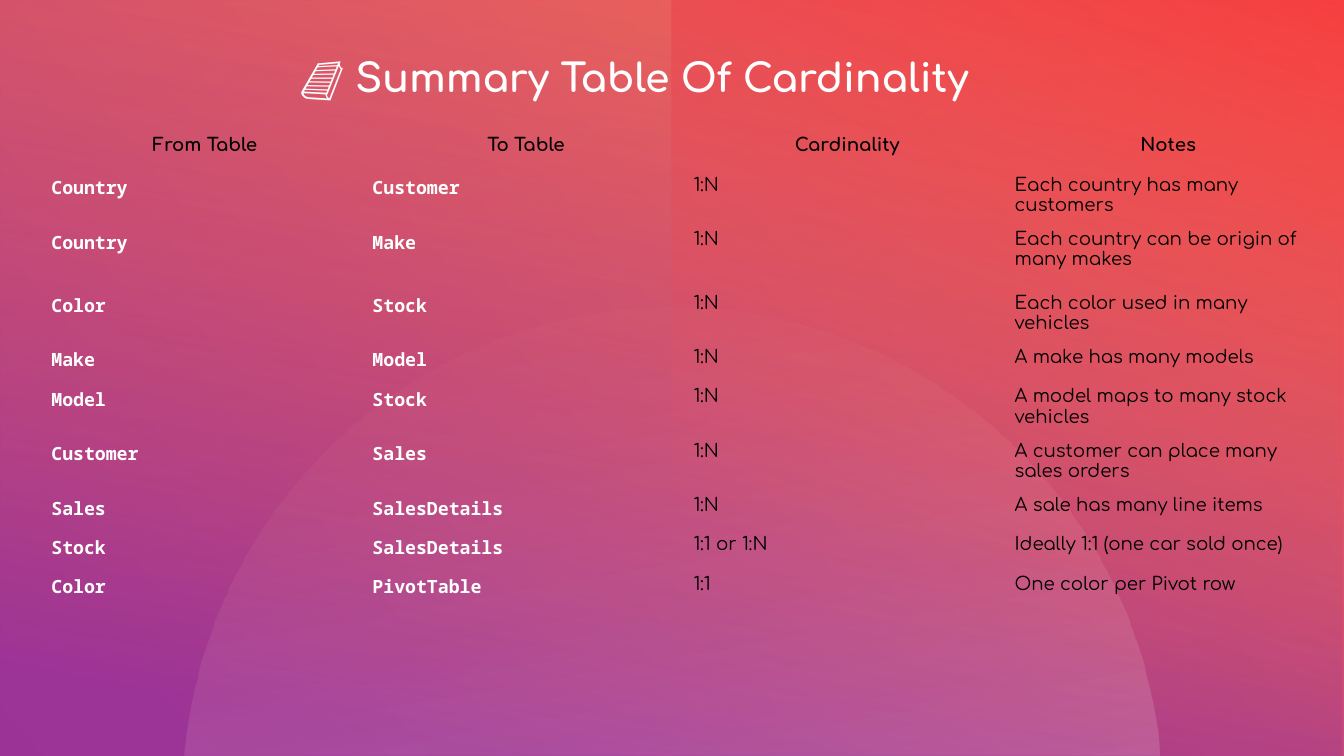
import math

import lxml.etree
import pptx
import pptx.dml.color
import pptx.enum.shapes
import pptx.enum.text
import pptx.oxml.ns
import pptx.util

THEME = {
    "heading": "FFFFFF",
    "key": "FFFFFF",
    "body": "000000",
    "font": "Comfortaa",
    "mono": "Noto Sans Mono",
    "title_size": 28,
    "table_size": 13,
    "base": (140, [(0, "FF6757", 100), (100, "A3299D", 100)]),
    "veil": (100, [(0, "FF763F", 45), (91, "9B3597", 88)]),
    "glow": (290, [(25, "FF6753", 0), (100, "EA0032", 42)]),
    "dome": (80, [(7, "FF907A", 3), (100, "FFFFFF", 15)]),
}
ROWS = [
    ("From Table", "To Table", "Cardinality", "Notes"),
    ("Country", "Customer", "1:N", "Each country has many customers"),
    ("Country", "Make", "1:N", "Each country can be origin of many makes"),
    ("Color", "Stock", "1:N", "Each color used in many vehicles"),
    ("Make", "Model", "1:N", "A make has many models"),
    ("Model", "Stock", "1:N", "A model maps to many stock vehicles"),
    ("Customer", "Sales", "1:N", "A customer can place many sales orders"),
    ("Sales", "SalesDetails", "1:N", "A sale has many line items"),
    ("Stock", "SalesDetails", "1:1 or 1:N", "Ideally 1:1 (one car sold once)"),
    ("Color", "PivotTable", "1:1", "One color per Pivot row"),
]
ROW_HEIGHT = 0.39
TALL_ROWS = {2: 0.63, 9: 0.55}
NO_STYLE = "{2D5ABB26-0587-4C30-8999-92F81FD0307C}"
Inches = pptx.util.Inches


def paint(shape, gradient):
    angle, stops = gradient
    shape.shadow.inherit = False
    shape.line.fill.background()
    shape.fill.gradient()
    shape.fill.gradient_angle = 360 - angle
    for stop, (position, color, opacity) in zip(shape.fill.gradient_stops, stops):
        stop.position = position / 100
        stop.color.rgb = pptx.dml.color.RGBColor.from_string(color)
    for node, (position, color, opacity) in zip(
        shape.element.spPr.iter(pptx.oxml.ns.qn("a:srgbClr")), stops
    ):
        alpha = lxml.etree.SubElement(node, pptx.oxml.ns.qn("a:alpha"))
        alpha.set("val", str(opacity * 1000))


def style(p, font, size, color, bold):
    for r in p.runs:
        r.font.name = font
        r.font.size = pptx.util.Pt(size)
        r.font.bold = bold
        r.font.color.rgb = pptx.dml.color.RGBColor.from_string(color)


prs = pptx.Presentation()
W, H = Inches(13.33), Inches(7.5)
prs.slide_width, prs.slide_height = W, H
s = prs.slides.add_slide(prs.slide_layouts[5])

for name, left in (("base", 0), ("veil", 0), ("glow", W // 2)):
    panel = s.shapes.add_shape(
        pptx.enum.shapes.MSO_SHAPE.RECTANGLE, left, 0, W - left, H
    )
    paint(panel, THEME[name])

radius, center_y = 4.85, 7.9
edge = math.degrees(math.asin((center_y - 7.5) / radius))
arc = []
for step in range(121):
    turn = math.radians(180 - edge - step * (180 - 2 * edge) / 120)
    x = W / 2 + Inches(radius) * math.cos(turn)
    y = Inches(center_y) - Inches(radius) * math.sin(turn)
    arc.append((round(x), round(y)))
builder = s.shapes.build_freeform(*arc[0])
builder.add_line_segments(arc[1:], close=True)
paint(builder.convert_to_shape(), THEME["dome"])

frame = s.shapes.add_table(
    len(ROWS), len(ROWS[0]), Inches(0.44), Inches(1.28), Inches(12.74), Inches(4.32)
)
table = frame.table
table.first_row = table.horz_banding = False
table._tbl.tblPr.find(pptx.oxml.ns.qn("a:tableStyleId")).text = NO_STYLE
for i, row in enumerate(ROWS):
    table.rows[i].height = Inches(TALL_ROWS.get(i, ROW_HEIGHT))
    for j, text in enumerate(row):
        cell = table.cell(i, j)
        cell.fill.background()
        cell.margin_left = cell.margin_right = Inches(0.07)
        cell.margin_top = cell.margin_bottom = Inches(0.07)
        cell.text_frame.text = text
        p = cell.text_frame.paragraphs[0]
        header, key = i == 0, i > 0 and j < 2
        if header:
            p.alignment = pptx.enum.text.PP_ALIGN.CENTER
        style(
            p,
            THEME["mono"] if key else THEME["font"],
            THEME["table_size"],
            THEME["key"] if key else THEME["body"],
            header or key,
        )

title = s.shapes.title
title.left, title.top = Inches(2.88), Inches(0.48)
title.width, title.height = Inches(7.42), Inches(0.57)
tf = title.text_frame
tf.text = "📘 Summary Table Of Cardinality"
tf.word_wrap = True
tf.auto_size = pptx.enum.text.MSO_AUTO_SIZE.NONE
tf.vertical_anchor = pptx.enum.text.MSO_ANCHOR.MIDDLE
tf.paragraphs[0].alignment = pptx.enum.text.PP_ALIGN.LEFT
style(tf.paragraphs[0], THEME["font"], THEME["title_size"], THEME["heading"], True)
s.shapes.element.append(title.element)

prs.save("out.pptx")
